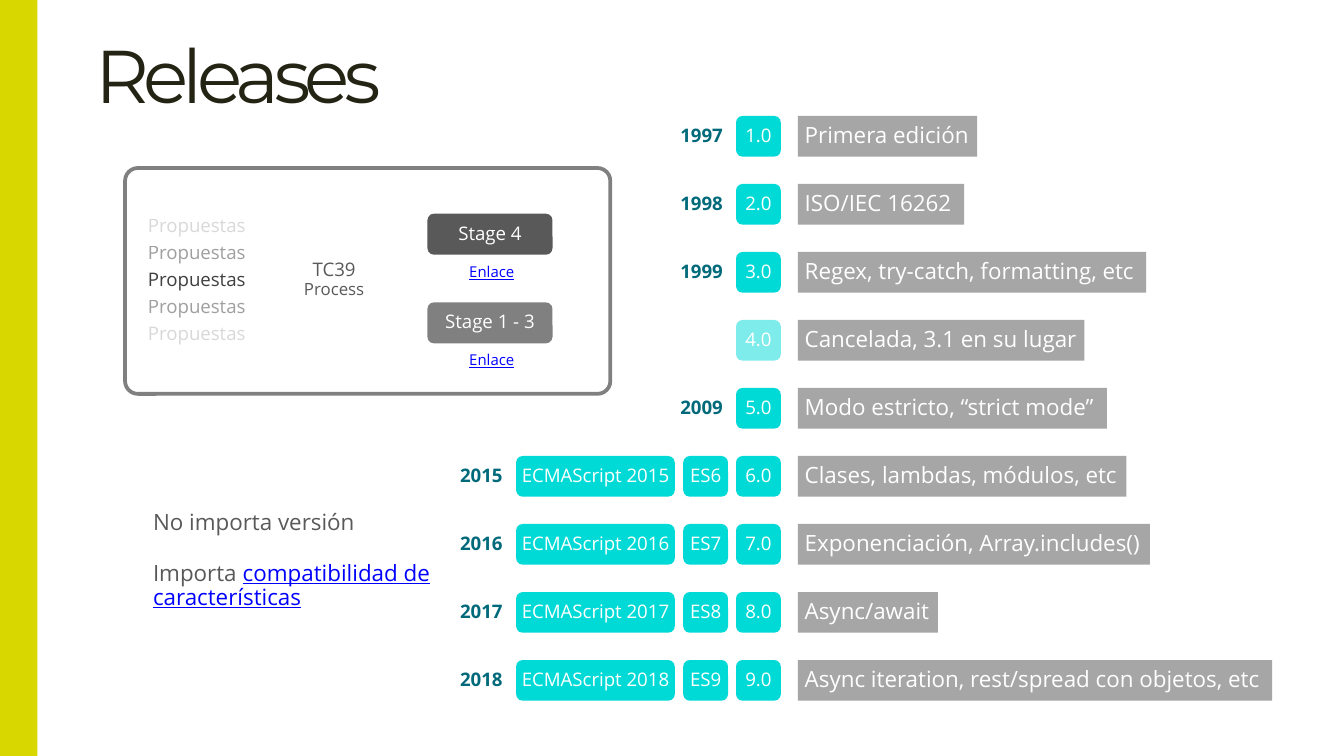
import lxml.etree
import pptx
import pptx.dml.color
import pptx.enum.shapes
import pptx.enum.text
import pptx.oxml.ns
import pptx.util

Pt = pptx.util.Pt
ALIGN = pptx.enum.text.PP_ALIGN
ANCHOR = pptx.enum.text.MSO_ANCHOR
SHAPE = pptx.enum.shapes.MSO_SHAPE
COLORS = {
    "lime": "D8D800", "title": "242415", "cyan": "00DAD7", "teal": "006A7B",
    "label": "A6A6A6", "white": "FFFFFF", "dark": "595959", "mid": "808080",
    "proposal": "404040", "link": "0000FF",
}
RELEASES = [
    ("1997", "1.0", None, "Primera edición", 96),
    ("1998", "2.0", None, "ISO/IEC 16262", 89),
    ("1999", "3.0", None, "Regex, try-catch, formatting, etc", 186.5),
    (None, "4.0", None, "Cancelada, 3.1 en su lugar", 153.5),
    ("2009", "5.0", None, "Modo estricto, “strict mode”", 165.5),
    ("2015", "6.0", "ES6", "Clases, lambdas, módulos, etc", 176),
    ("2016", "7.0", "ES7", "Exponenciación, Array.includes()", 188.5),
    ("2017", "8.0", "ES8", "Async/await", 75),
    ("2018", "9.0", "ES9", "Async iteration, rest/spread con objetos, etc", 254),
]


def set_alpha(properties, percent):
    color = next(properties.iter(pptx.oxml.ns.qn("a:srgbClr")))
    alpha = lxml.etree.SubElement(color, pptx.oxml.ns.qn("a:alpha"))
    alpha.set("val", str(percent * 1000))


def format_run(run, size, color, bold=False, underline=False, font="Open Sans"):
    run.font.name = font
    run.font.size = Pt(size)
    run.font.bold = bold
    run.font.underline = underline
    run.font.color.rgb = pptx.dml.color.RGBColor.from_string(COLORS[color])


def set_frame(shape, anchor=ANCHOR.MIDDLE, inset=0, wrap=True):
    frame = shape.text_frame
    frame.auto_size = pptx.enum.text.MSO_AUTO_SIZE.NONE
    frame.word_wrap = wrap
    frame.vertical_anchor = anchor
    frame.margin_left = frame.margin_top = frame.margin_bottom = Pt(inset)
    frame.margin_right = 0 if wrap else Pt(inset)
    return frame


def write(shape, text, size, color, align=ALIGN.CENTER, inset=0, bold=False, underline=False):
    frame = set_frame(shape, inset=inset, wrap=align == ALIGN.LEFT)
    frame.text = text
    for paragraph in frame.paragraphs:
        paragraph.alignment = align
        paragraph.line_spacing = 0.9
        for run in paragraph.runs:
            format_run(run, size, color, bold, underline)
    return frame


def add_label(slide, box, text, size, color, **style):
    shape = slide.shapes.add_textbox(*map(Pt, box))
    return write(shape, text, size, color, **style)


def add_block(slide, kind, box, fill=None, adjustment=None):
    shape = slide.shapes.add_shape(kind, *map(Pt, box))
    shape.shadow.inherit = False
    shape.line.fill.background()
    if fill:
        shape.fill.solid()
        shape.fill.fore_color.rgb = pptx.dml.color.RGBColor.from_string(COLORS[fill])
    else:
        shape.fill.background()
    if adjustment:
        shape.adjustments[0] = adjustment
    return shape


def add_badge(slide, box, text, fill="cyan"):
    badge = add_block(slide, SHAPE.ROUNDED_RECTANGLE, box, fill, 0.16)
    write(badge, text, 10, "white")
    return badge


def add_title(slide, box):
    title = slide.shapes.title
    title.left, title.top, title.width, title.height = map(Pt, box)
    frame = set_frame(title, ANCHOR.BOTTOM)
    frame.text = "Releases"
    paragraph = frame.paragraphs[0]
    paragraph.alignment = ALIGN.LEFT
    paragraph.line_spacing = 0.9
    run = paragraph.runs[0]
    format_run(run, 40, "title", font="Montserrat")
    run.font._element.set("spc", "-300")


def add_process(slide, box):
    left, top, width, height = box
    frame = add_block(slide, SHAPE.ROUNDED_RECTANGLE, box, adjustment=0.057)
    frame.line.color.rgb = pptx.dml.color.RGBColor.from_string(COLORS["mid"])
    frame.line.width = Pt(2)

    for index, alpha in enumerate((20, 50, 100, 50, 20)):
        label_box = (left + 4.2, top + 21.8 + index * 14.4, 68.4, 19.4)
        text_frame = add_label(slide, label_box, "Propuestas", 10, "proposal")
        if alpha < 100:
            set_alpha(text_frame.paragraphs[0].runs[0].font._element, alpha)

    process = add_label(slide, (left + 90, top + 45, 44, 30), "TC39\nProcess", 10, "dark")
    process.paragraphs[1].runs[0].font.size = Pt(9)

    for offset, text, fill in ((24.5, "Stage 4", "dark"), (72, "Stage 1 - 3", "mid")):
        add_badge(slide, (left + 162, top + offset, 67, 22), text, fill)
        link_box = (left + 177, top + offset + 22.8, 39, 17.3)
        add_label(slide, link_box, "Enlace", 8, "link", underline=True)


def add_advice(slide, box):
    frame = add_label(slide, box, "No importa versión\nImporta ", 12, "dark", align=ALIGN.LEFT)
    frame.vertical_anchor = ANCHOR.TOP
    paragraph = frame.paragraphs[1]
    paragraph.space_before = Pt(14.5)
    run = paragraph.add_run()
    run.text = "compatibilidad de características"
    format_run(run, 12, "link", underline=True)


def add_release(slide, box, release):
    left, top, width, height = box
    year, version, edition, description, label_width = release
    badge = add_badge(slide, (left + 148, top, 24, height), version)
    label = add_block(slide, SHAPE.RECTANGLE, (left + 181.2, top, label_width, height), "label")
    write(label, description, 12, "white", align=ALIGN.LEFT, inset=3.6)
    if edition:
        add_badge(slide, (left + 119.7, top, 24, height), edition)
        add_badge(slide, (left + 30.2, top, 85, height), f"ECMAScript {year}")
    if year:
        year_left = left if edition else left + 118
        add_label(slide, (year_left, top, 23, height), year, 10, "teal", bold=True)
    else:
        set_alpha(badge.fill._xPr, 51)


def add_timeline(slide, box):
    left, top, width, height = box
    row_height = 21.8
    pitch = (height - row_height) / (len(RELEASES) - 1)
    for index, release in enumerate(RELEASES):
        add_release(slide, (left, top + index * pitch, width, row_height), release)


def main():
    presentation = pptx.Presentation()
    presentation.slide_width = Pt(720)
    presentation.slide_height = Pt(405)
    slide = presentation.slides.add_slide(presentation.slide_layouts[5])
    add_title(slide, (51, 0, 649, 64))
    add_block(slide, SHAPE.RECTANGLE, (0, 0, 20, 405), "lime")
    add_timeline(slide, (246.3, 62.1, 435.7, 313.3))
    add_process(slide, (67, 90, 260, 121))
    add_advice(slide, (82, 273.6, 153, 56))
    presentation.save("out.pptx")


if __name__ == "__main__":
    main()
